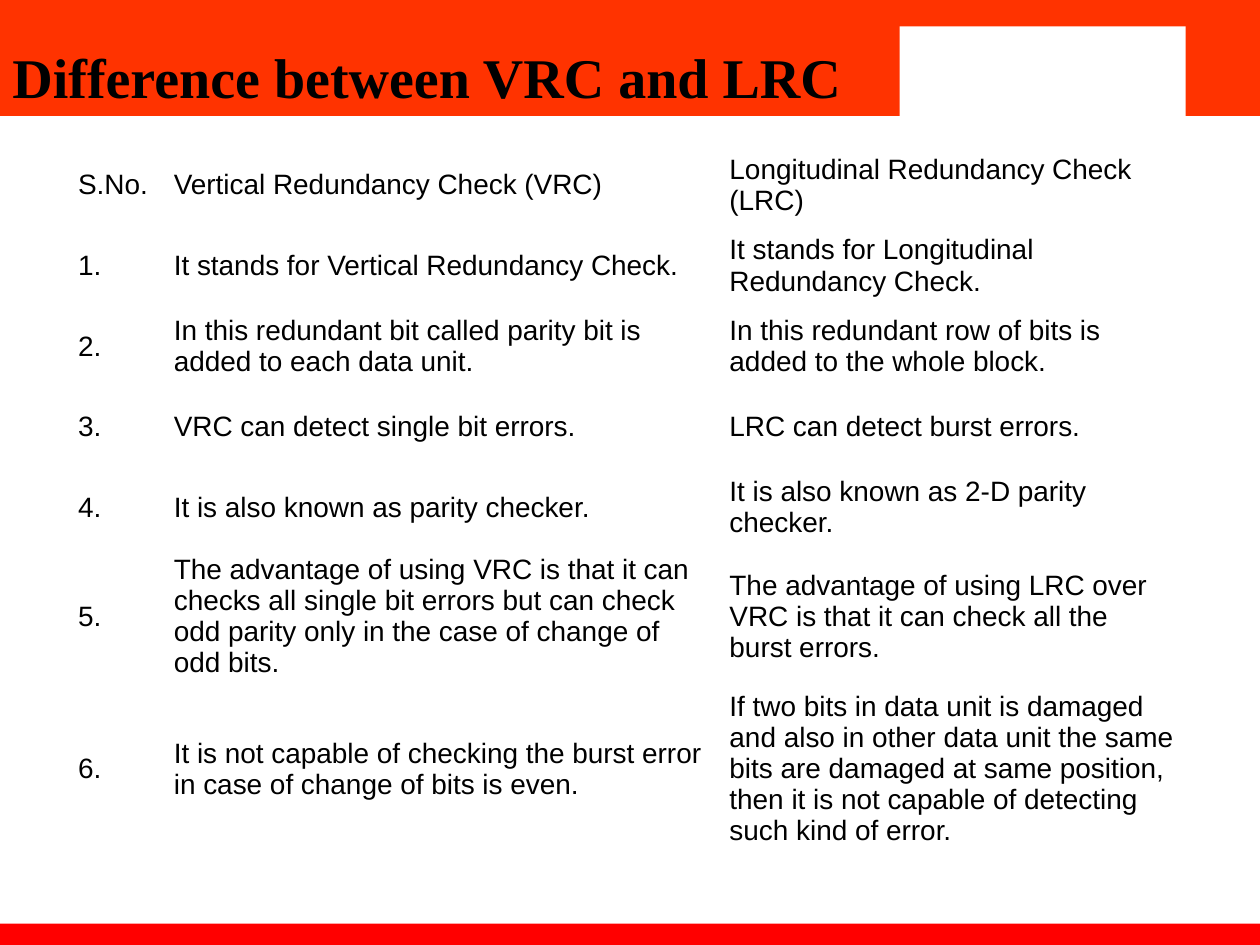
from pptx import Presentation
from pptx import util as u
from pptx.dml.color import RGBColor
from pptx.enum import shapes, text

HEADER_RED = "FF3300"
FOOTER_RED = "FF0000"
WHITE = "FFFFFF"
BLACK = "000000"


def colour(hex_value):
    return RGBColor.from_string(hex_value)


class SlideBuilder:
    """Holds the text style and the page being filled."""

    title_font = "Times New Roman"
    body_font = "Arial"
    title_size = 32
    body_size = 16

    def __init__(self, page):
        self.page = page

    def style(self, para, name, size, bold=False):
        font = para.font
        font.name, font.size, font.bold = name, u.Pt(size), bold
        font.color.rgb = colour(BLACK)

    def band(self, left, top, width, height, fill):
        box = self.page.shapes.add_shape(
            shapes.MSO_SHAPE.RECTANGLE,
            u.Inches(left), u.Inches(top), u.Inches(width), u.Inches(height))
        box.shadow.inherit = False
        box.fill.solid()
        box.fill.fore_color.rgb = colour(fill)
        box.line.fill.background()

    def title(self, words, left, top, width, height):
        box = self.page.shapes.add_textbox(
            u.Inches(left), u.Inches(top), u.Inches(width), u.Inches(height))
        frame = box.text_frame
        frame.word_wrap = True
        frame.auto_size = text.MSO_AUTO_SIZE.SHAPE_TO_FIT_TEXT
        para = frame.paragraphs[0]
        para.text = words
        para.alignment = text.PP_ALIGN.JUSTIFY
        self.style(para, self.title_font, self.title_size, bold=True)

    def table(self, rows, left, top, widths, row_height):
        table = self.page.shapes.add_table(
            len(rows), len(widths), u.Inches(left), u.Inches(top),
            u.Inches(sum(widths)), u.Inches(row_height * len(rows))).table
        table.first_row = table.horz_banding = False
        for column, width in zip(table.columns, widths):
            column.width = u.Inches(width)
        for row, entries in zip(table.rows, rows):
            row.height = u.Inches(row_height)
            for cell, words in zip(row.cells, entries):
                cell.fill.background()
                cell.vertical_anchor = text.MSO_ANCHOR.MIDDLE
                cell.margin_left = cell.margin_right = u.Inches(0.09)
                cell.margin_top = cell.margin_bottom = u.Inches(0.05)
                cell.text = words
                self.style(cell.text_frame.paragraphs[0],
                           self.body_font, self.body_size)


HEADINGS = ("S.No.", "Vertical Redundancy Check (VRC)",
            "Longitudinal Redundancy Check (LRC)")
DIFFERENCES = [
    ("It stands for Vertical Redundancy Check.",
     "It stands for Longitudinal Redundancy Check."),
    ("In this redundant bit called parity bit is added to each data unit.",
     "In this redundant row of bits is added to the whole block."),
    ("VRC can detect single bit errors.",
     "LRC can detect burst errors."),
    ("It is also known as parity checker.",
     "It is also known as 2-D parity checker."),
    ("The advantage of using VRC is that it can checks all single bit errors "
     "but can check odd parity only in the case of change of odd bits.",
     "The advantage of using LRC over VRC is that it can check all the "
     "burst errors."),
    ("It is not capable of checking the burst error in case of change of "
     "bits is even.",
     "If two bits in data unit is damaged and also in other data unit the "
     "same bits are damaged at same position, then it is not capable of "
     "detecting such kind of error."),
]


def main():
    deck = Presentation()
    deck.slide_width, deck.slide_height = u.Inches(10), u.Inches(7.5)
    builder = SlideBuilder(deck.slides.add_slide(deck.slide_layouts[6]))

    # Header and footer bands, with the white panel in the header
    builder.band(0, 0, 10, 0.92, HEADER_RED)
    builder.band(0, 7.33, 10, 0.22, FOOTER_RED)
    builder.band(7.14, 0.21, 2.27, 0.75, WHITE)

    # Comparison table, numbered from 1
    numbered = [(f"{number}.", *pair)
                for number, pair in enumerate(DIFFERENCES, 1)]
    builder.table([HEADINGS] + numbered, 0.53, 1.15, (0.76, 4.41, 3.72), 0.64)

    # Title
    builder.title("Difference between VRC and LRC", 0, 0.29, 7.15, 0.64)

    deck.save("out.pptx")


if __name__ == "__main__":
    main()
